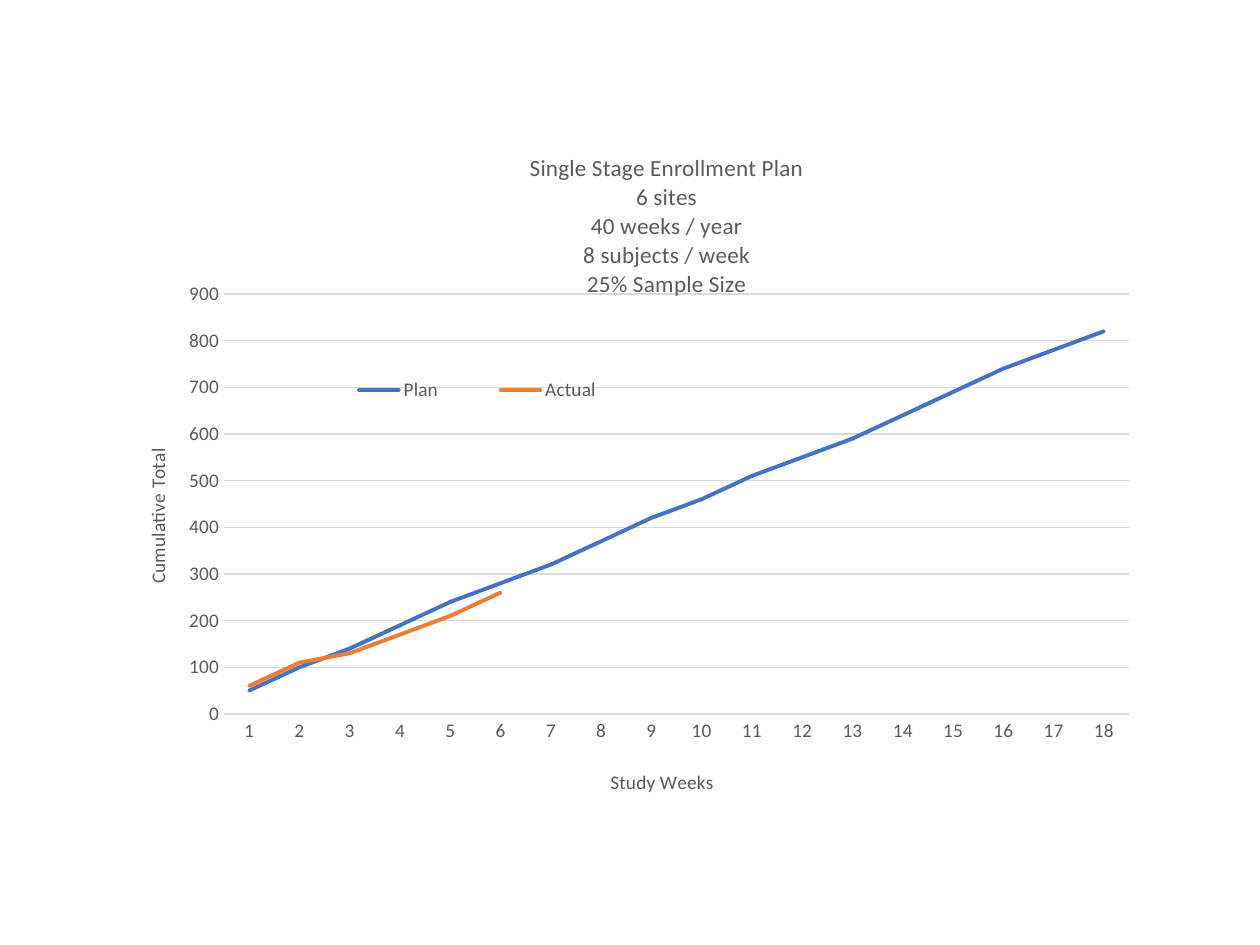
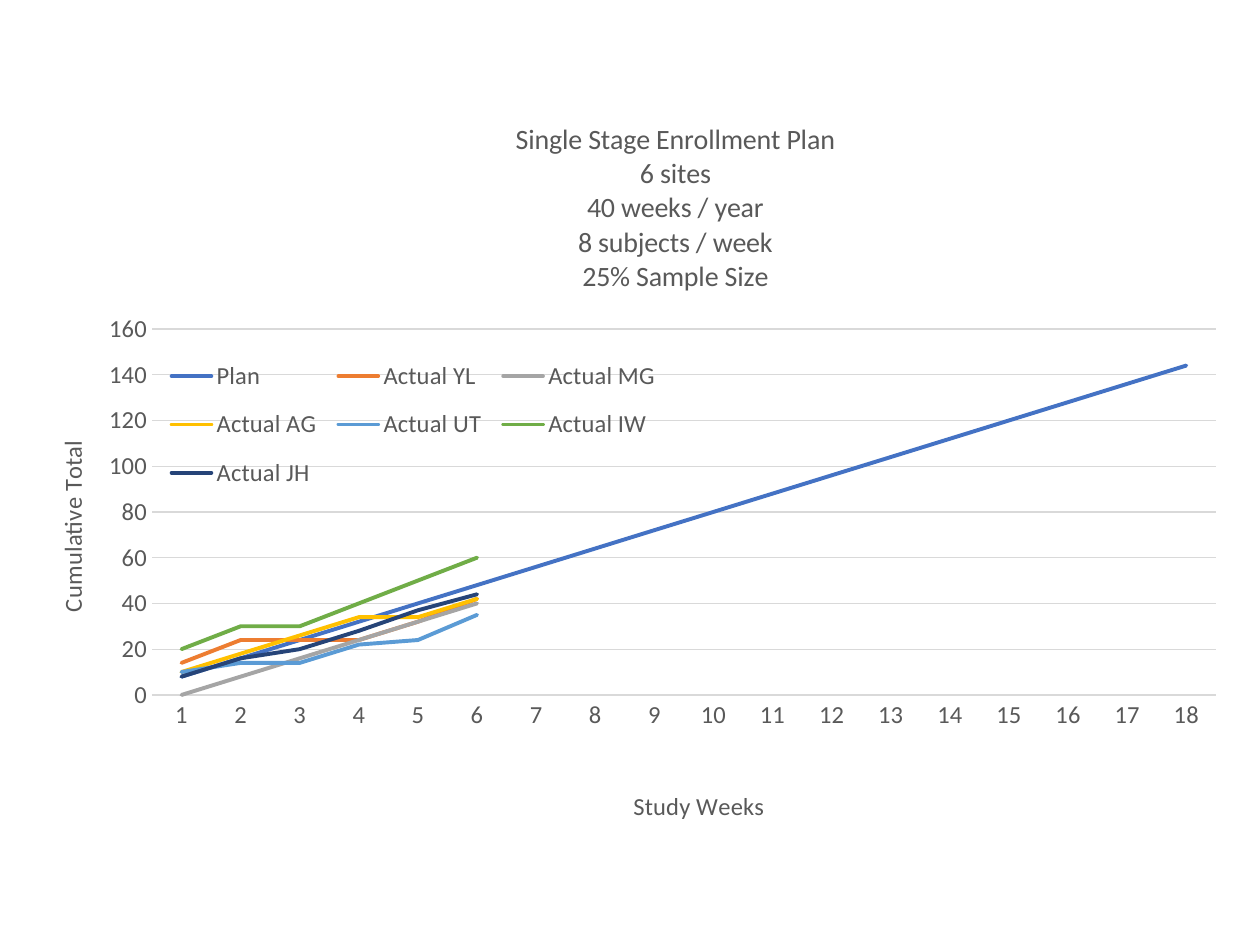
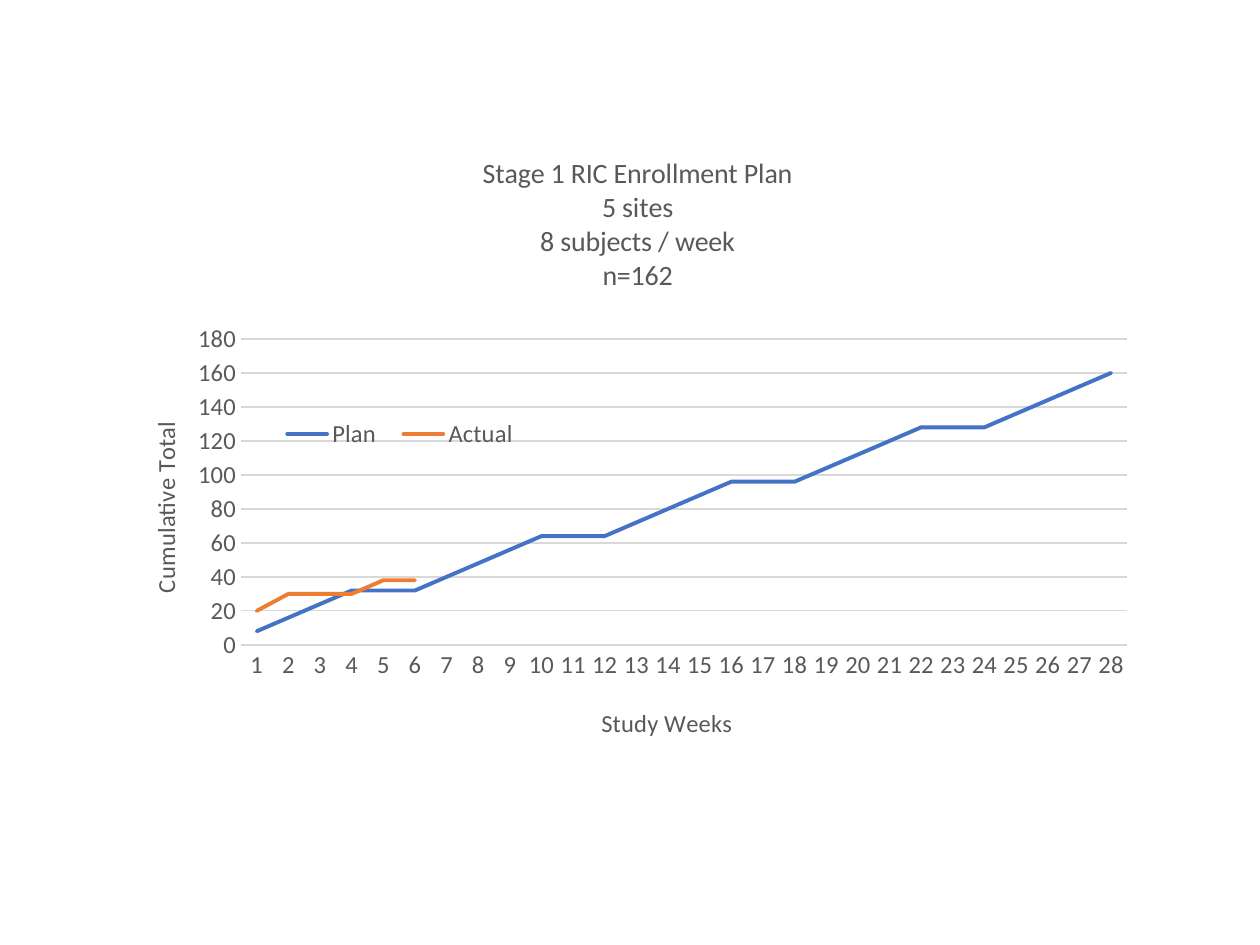
from lxml.etree import SubElement
from pptx import Presentation
from pptx.chart.data import CategoryChartData
from pptx.dml.color import RGBColor
from pptx.enum.chart import XL_CHART_TYPE, XL_LEGEND_POSITION, XL_TICK_MARK
from pptx.oxml.ns import qn
from pptx.util import Pt

PX = 914400 // 126  # EMU per pixel
FONT = "Calibri"
GREY = RGBColor(0x59, 0x59, 0x59)
GRID = RGBColor(0xD9, 0xD9, 0xD9)
SERIES_COLORS = [
    RGBColor(0x44, 0x72, 0xC4), RGBColor(0xED, 0x7D, 0x31),
    RGBColor(0xA5, 0xA5, 0xA5), RGBColor(0xFF, 0xC0, 0x00),
    RGBColor(0x5B, 0x9B, 0xD5), RGBColor(0x70, 0xAD, 0x47),
    RGBColor(0x26, 0x44, 0x78),
]

SINGLE_STAGE = ["Single Stage Enrollment Plan", "6 sites", "40 weeks / year",
                "8 subjects / week", "25% Sample Size"]

# One entry per slide; boxes are left, top, width, height in slide pixels,
# title places are left, top
SLIDES = [
    dict(
        frame=(111, 88, 1038, 769), plot=(224, 294, 905, 420),
        legend=(303, 365, 349, 50), title_at=(526, 148),
        weeks_at=(607, 765), total_at=(141, 445),
        size=11, title_size=13.2, top=900, step=100, weeks=18,
        title=SINGLE_STAGE,
        series={
            "Plan": [50, 100, 140, 190, 240, 280, 320, 370, 420,
                     460, 510, 550, 590, 640, 690, 740, 780, 820],
            "Actual": [60, 110, 130, 170, 210, 260],
        },
    ),
    dict(
        frame=(20, 86, 1221, 774), plot=(152, 329, 1064, 366),
        legend=(158, 343, 511, 163), title_at=(512, 117),
        weeks_at=(629, 785), total_at=(51, 436),
        size=14, title_size=16, top=160, step=20, weeks=18,
        title=SINGLE_STAGE,
        series={
            "Plan": list(range(8, 145, 8)),
            "Actual YL": [14, 24, 24, 24, 32, 42],
            "Actual MG": [0, 8, 16, 24, 32, 40],
            "Actual AG": [10, 18, 26, 34, 34, 42],
            "Actual UT": [10, 14, 14, 22, 24, 35],
            "Actual IW": [20, 30, 30, 40, 50, 60],
            "Actual JH": [8, 16, 20, 28, 37, 44],
        },
    ),
    dict(
        frame=(112, 136, 1036, 673), plot=(241, 339, 886, 306),
        legend=(268, 404, 264, 60), title_at=(479, 151),
        weeks_at=(597, 702), total_at=(144, 417),
        size=14, title_size=16, top=180, step=20, weeks=28,
        title=["Stage 1 RIC Enrollment Plan", "5 sites",
               "8 subjects / week", "n=162"],
        series={
            "Plan": [8, 16, 24, 32, 32, 32, 40, 48, 56, 64, 64, 64, 72, 80,
                     88, 96, 96, 96, 104, 112, 120, 128, 128, 128, 136, 144,
                     152, 160],
            "Actual": [20, 30, 30, 30, 38, 38],
        },
    ),
]


def place(part, box, frame, inner=False):
    """Fix a chart part at a box given in slide pixels."""
    for old in part.findall(qn("c:layout")):
        part.remove(old)
    layout = part.makeelement(qn("c:layout"))
    overlay = part.find(qn("c:overlay"))
    if overlay is None:
        part.insert(0, layout)
    else:
        overlay.addprevious(layout)
    manual = SubElement(layout, qn("c:manualLayout"))
    if inner:
        SubElement(manual, qn("c:layoutTarget"), val="inner")
    for mode in ("xMode", "yMode"):
        SubElement(manual, qn("c:" + mode), val="edge")
    left, top, width, height = frame
    shares = [(box[0] - left) / width, (box[1] - top) / height]
    if len(box) == 4:
        shares += [box[2] / width, box[3] / height]
    for tag, share in zip("xywh", shares):
        SubElement(manual, qn("c:" + tag), val=f"{share:.4f}")


def write(tf, lines, size):
    """Fill a chart title, one paragraph per line."""
    for i, line in enumerate(lines):
        p = tf.paragraphs[0] if i == 0 else tf.add_paragraph()
        r = p.add_run()
        r.text = line
        r.font.name, r.font.size, r.font.bold = FONT, Pt(size), False
        r.font.color.rgb = GREY


prs = Presentation()
prs.slide_width, prs.slide_height = 1260 * PX, 945 * PX

for spec_ in SLIDES:
    s = prs.slides.add_slide(prs.slide_layouts[6])
    frame, size = spec_["frame"], spec_["size"]

    # Line chart of planned and actual enrolment
    data = CategoryChartData()
    data.categories = [str(week + 1) for week in range(spec_["weeks"])]
    for name, values in spec_["series"].items():
        data.add_series(name, values + [None] * (spec_["weeks"] - len(values)))
    chart = s.shapes.add_chart(XL_CHART_TYPE.LINE, *[v * PX for v in frame],
                               data).chart
    chart.font.name, chart.font.size = FONT, Pt(size)
    chart.font.color.rgb = GREY
    chart.plots[0].vary_by_categories = False
    for line, color in zip(chart.plots[0].series, SERIES_COLORS):
        line.smooth = False
        line.format.line.width = Pt(2.25)
        line.format.line.color.rgb = color
    for ln in chart.element.xpath(".//c:ser/c:spPr/a:ln"):
        ln.set("cap", "rnd")

    # Axes
    weeks, total = chart.category_axis, chart.value_axis
    for axis, label in ((weeks, "Study Weeks"), (total, "Cumulative Total")):
        axis.major_tick_mark = axis.minor_tick_mark = XL_TICK_MARK.NONE
        axis.tick_labels.font.name = FONT
        axis.tick_labels.font.size = Pt(size)
        axis.tick_labels.font.color.rgb = GREY
        write(axis.axis_title.text_frame, [label], size)
    weeks.format.line.color.rgb = GRID
    weeks.format.line.width = Pt(0.75)
    total.format.line.fill.background()
    total.minimum_scale, total.maximum_scale = 0, spec_["top"]
    total.major_unit = spec_["step"]
    total.major_gridlines.format.line.color.rgb = GRID
    total.major_gridlines.format.line.width = Pt(0.75)
    body = chart.element.xpath(".//c:valAx/c:title//a:bodyPr")[0]
    body.set("rot", "-5400000")
    body.set("vert", "horz")

    # Title and legend
    chart.has_title = True
    write(chart.chart_title.text_frame, spec_["title"], spec_["title_size"])
    chart.has_legend = True
    chart.legend.position = XL_LEGEND_POSITION.BOTTOM
    chart.legend.include_in_layout = False
    chart.legend.font.name, chart.legend.font.size = FONT, Pt(size)
    chart.legend.font.color.rgb = GREY

    # Places of the chart parts
    for query, key in (("c:chart/c:title", "title_at"),
                       ("c:chart/c:legend", "legend"),
                       (".//c:catAx/c:title", "weeks_at"),
                       (".//c:valAx/c:title", "total_at"),
                       ("c:chart/c:plotArea", "plot")):
        place(chart.element.xpath(query)[0], spec_[key], frame, key == "plot")

prs.save("out.pptx")
